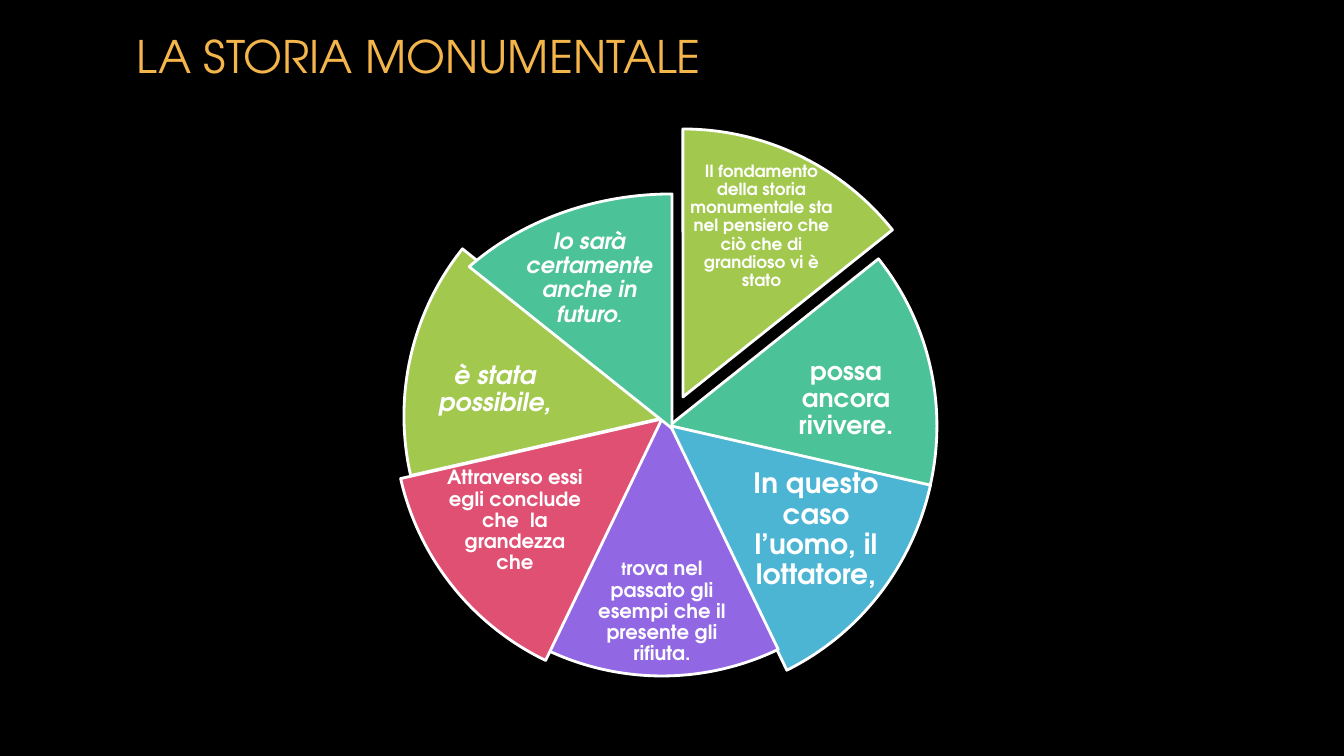
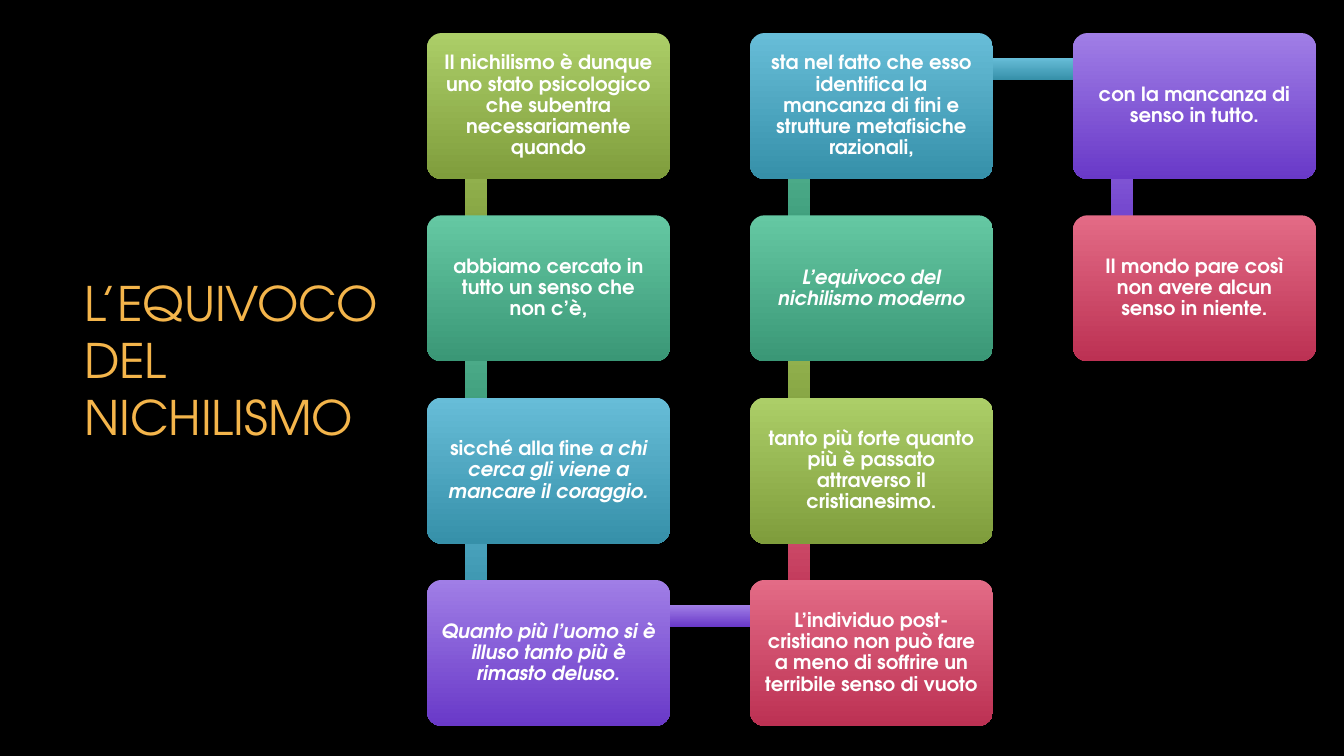
from pptx import Presentation
from pptx.dml.color import RGBColor
from pptx.enum.shapes import MSO_SHAPE
from pptx.enum.text import MSO_ANCHOR, MSO_AUTO_SIZE, PP_ALIGN
from pptx.util import Pt

SCALE = 914400 / 100.8
FONT = "TeX Gyre Adventor"
COLORS = {
    "back": "000000", "title": "F4B54B", "white": "FFFFFF",
    "lime": "A2C84E", "green": "4BC298", "blue": "4CB5D3",
    "violet": "9167E3", "rose": "E05073",
}
SHADES = {
    "lime": ("ACCE68", "7F9D3C"), "green": ("65C8A3", "3A9776"),
    "blue": ("67BDD8", "3690A9"), "violet": ("A07EE6", "6939C8"),
    "rose": ("E36B86", "BC3153"),
}

SLICES = [
    ("lime", (415, 129, 536, 536), (688, 180, 147, 93),
     [("Il fondamento della storia monumentale sta nel pensiero che ciò che di grandioso vi è stato", 12, False)]),
    ("green", (401, 158, 536, 536), (768, 350, 156, 99),
     [("possa ancora rivivere.", 18, False)]),
    ("blue", (401, 153, 536, 545), (746, 478, 140, 104),
     [("In questo caso l’uomo, il lottatore,", 20, False)]),
    ("violet", (394, 140, 536, 536), (590, 561, 144, 102),
     [("t", 12, False), ("rova nel passato gli esempi che il presente gli rifiuta.", 14, False)]),
    ("rose", (394, 151, 536, 536), (445, 470, 140, 102),
     [("Attraverso essi egli conclude che  la grandezza che", 14, False)]),
    ("lime", (404, 148, 536, 536), (417, 340, 156, 99),
     [("è stata possibile,", 18, True)]),
    ("green", (392, 194, 560, 469), (513, 238, 153, 81),
     [("lo sarà certamente anche in futuro", 16, True), (".", 12, True)]),
]

STEPS = [
    ("lime", [("Il nichilismo è dunque uno stato psicologico che subentra necessariamente quando", 14, False)]),
    ("green", [("abbiamo cercato in tutto un senso che non c’è,", 14, False)]),
    ("blue", [("sicché alla fine ", 14, False),
              ("a chi cerca gli viene a mancare il coraggio.", 14, True)]),
    ("violet", [("Quanto più l’uomo si è illuso tanto più è rimasto deluso.", 14, True)]),
    ("rose", [("L’individuo post-cristiano non può fare a meno di soffrire un terribile senso di vuoto", 14, False)]),
    ("lime", [("tanto più forte quanto più è passato attraverso il cristianesimo.", 14, False)]),
    ("green", [("L’equivoco del nichilismo moderno", 14, True)]),
    ("blue", [("sta nel fatto che esso identifica la mancanza di fini e strutture metafisiche razionali,", 14, False)]),
    ("violet", [("con la mancanza di senso in tutto.", 14, False)]),
    ("rose", [("Il mondo pare così non avere alcun senso in niente.", 14, False)]),
]


def emu(box):
    """Turn pixel lengths into EMU."""
    return [round(n * SCALE) for n in box]


def rgb(name):
    """Look up a named colour."""
    return RGBColor.from_string(COLORS[name])


def style(run, size, color, bold=False, italic=False):
    """Format one run of text."""
    font = run.font
    font.name, font.size = FONT, Pt(size)
    font.bold, font.italic = bold, italic
    font.color.rgb = rgb(color)


def write(shape, runs, inset):
    """Put centred white bold runs into a shape."""
    frame = shape.text_frame
    frame.word_wrap = True
    frame.vertical_anchor = MSO_ANCHOR.MIDDLE
    pad = round(inset * SCALE)
    frame.margin_left = frame.margin_right = pad
    frame.margin_top = frame.margin_bottom = pad
    para = frame.paragraphs[0]
    para.alignment = PP_ALIGN.CENTER
    para.line_spacing = 0.9
    for text, size, italic in runs:
        run = para.add_run()
        run.text = text
        style(run, size, "white", True, italic)


def add_slide(deck, text, box, size):
    """Add a slide with its formatted title."""
    slide = deck.slides.add_slide(deck.slide_layouts[5])
    title = slide.shapes.title
    title.left, title.top, title.width, title.height = emu(box)
    frame = title.text_frame
    frame.text = text
    frame.word_wrap = True
    frame.auto_size = MSO_AUTO_SIZE.NONE
    frame.vertical_anchor = MSO_ANCHOR.MIDDLE
    para = frame.paragraphs[0]
    para.alignment = PP_ALIGN.LEFT
    style(para.runs[0], size, "title")
    return slide


def add_shape(slide, kind, box):
    """Add a preset shape without shadow."""
    shape = slide.shapes.add_shape(kind, *emu(box))
    shape.shadow.inherit = False
    return shape


def shade(shape, color):
    """Fill a shape from light at the top to dark, without a line."""
    shape.line.fill.background()
    shape.fill.gradient()
    shape.fill.gradient_angle = 270
    for stop, tone in zip(shape.fill.gradient_stops, SHADES[color]):
        stop.color.rgb = RGBColor.from_string(tone)


def draw_wheel(slide):
    """Draw equal slices clockwise from the top, each with its label."""
    turn = 216
    sweep = turn / len(SLICES)
    for i, (color, box, label, runs) in enumerate(SLICES):
        slice_ = add_shape(slide, MSO_SHAPE.PIE, box)
        start = turn * 0.75 + i * sweep
        slice_.adjustments[0] = start % turn
        slice_.adjustments[1] = (start + sweep) % turn
        slice_.fill.solid()
        slice_.fill.fore_color.rgb = rgb(color)
        slice_.line.color.rgb = rgb("white")
        slice_.line.width = Pt(2)
        write(slide.shapes.add_textbox(*emu(label)), runs, 2)


def draw_snake(slide, left, top, rows=4):
    """Draw boxes down and up through columns, joined by bars."""
    across, down, wide, high, thick = 323, 182.3, 243, 146, 22
    spots = []
    for i in range(len(STEPS)):
        col, row = divmod(i, rows)
        row = rows - 1 - row if col % 2 else row
        spots.append((left + col * across, top + row * down))
    for i, (color, runs) in enumerate(STEPS):
        x, y = spots[i]
        if i + 1 < len(STEPS):
            after, below = spots[i + 1]
            if after == x:
                bar = (x + 38, min(y, below) + 36, thick, down)
            else:
                bar = (x + 50, y + 25, across, thick)
            shade(add_shape(slide, MSO_SHAPE.RECTANGLE, bar), color)
        card = add_shape(slide, MSO_SHAPE.ROUNDED_RECTANGLE, (x, y, wide, high))
        card.adjustments[0] = 0.1
        shade(card, color)
        write(card, runs, 10)


def main():
    """Build and save the deck."""
    deck = Presentation()
    deck.slide_width, deck.slide_height = emu((1344, 756))
    back = deck.slide_master.background.fill
    back.solid()
    back.fore_color.rgb = rgb("back")
    draw_wheel(add_slide(deck, "LA STORIA MONUMENTALE", (126, 5, 1092, 101), 32))
    draw_snake(add_slide(deck, "L’EQUIVOCO DEL NICHILISMO", (74, 157, 334, 405), 34), 427, 33)
    deck.save("out.pptx")


main()
